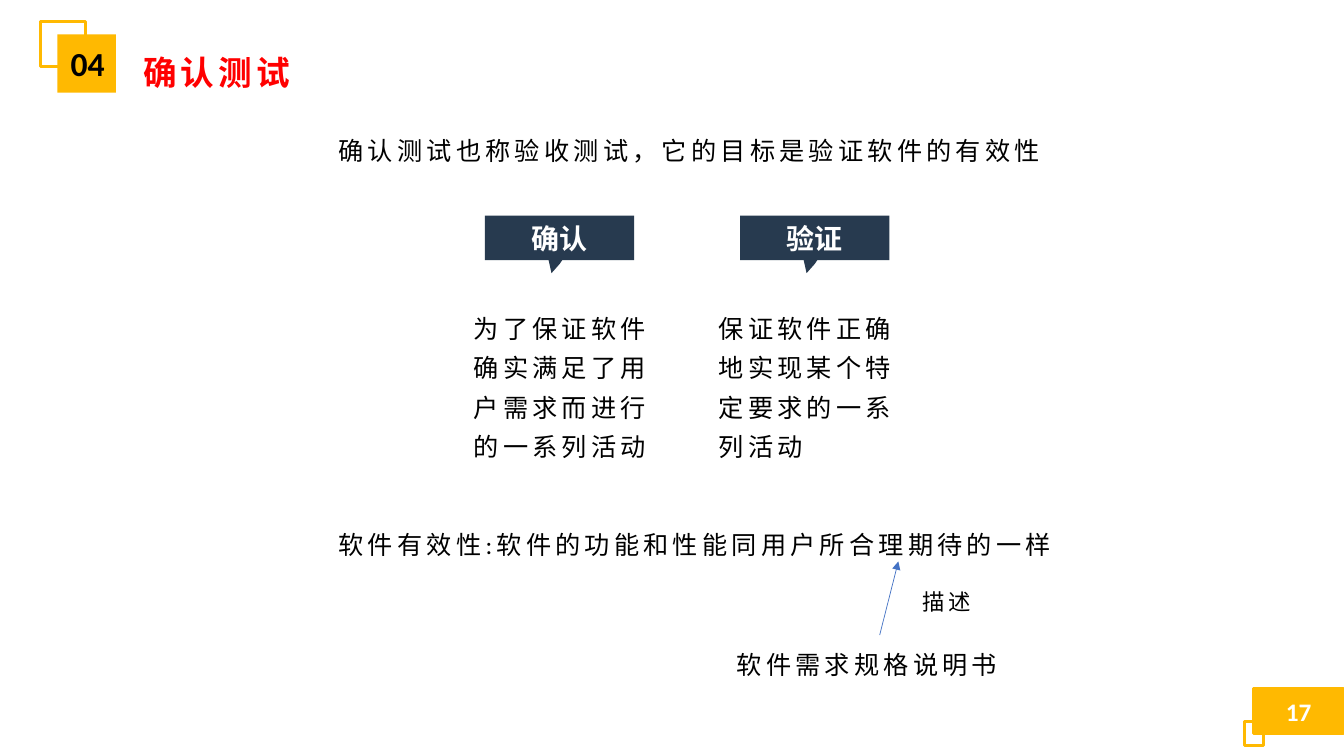
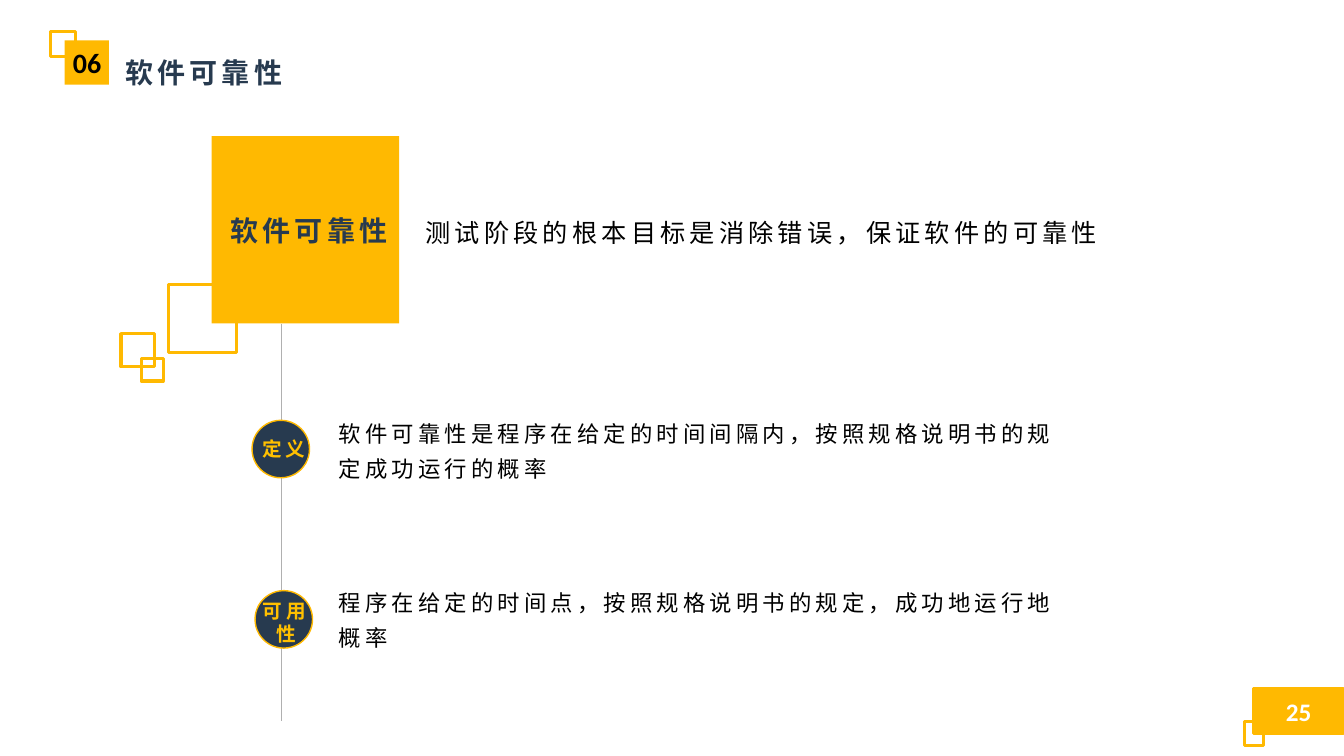
"""Build two slides on confirmation testing and software reliability."""
from dataclasses import dataclass
from typing import NamedTuple, Optional

from lxml import etree
from pptx import Presentation
from pptx import util as u
from pptx.dml.color import RGBColor
from pptx.enum import shapes, text
from pptx.oxml import ns
from pptx.shapes.autoshape import Shape
from pptx.shapes.connector import Connector
from pptx.slide import Slide

RECT = shapes.MSO_SHAPE.RECTANGLE
OVAL = shapes.MSO_SHAPE.OVAL
LEFT, CENTER = text.PP_ALIGN.LEFT, text.PP_ALIGN.CENTER
TOP, MIDDLE = text.MSO_ANCHOR.TOP, text.MSO_ANCHOR.MIDDLE


@dataclass(frozen=True)
class Theme:
    """Colours, font and type sizes of the deck."""
    gold: str = "FFB901"
    amber: str = "FFC000"
    navy: str = "273A4F"
    red: str = "FF0000"
    black: str = "000000"
    white: str = "FFFFFF"
    blue: str = "4472C4"
    grey: str = "B0B0B0"
    font: str = "Calibri"
    title: int = 24
    heading: int = 20
    body: int = 18
    note: int = 16
    label: int = 14
    outline: float = 2.25
    hairline: float = 0.5


THEME = Theme()


class Box(NamedTuple):
    """Left, top, width and height in inches."""
    left: float
    top: float
    width: float
    height: float

    def lengths(self) -> tuple[u.Length, ...]:
        """Return the four values as lengths."""
        return tuple(u.Inches(value) for value in self)


class Style(NamedTuple):
    """Look of one run of text and its paragraph."""
    size: int
    color: str = THEME.black
    bold: bool = False
    tracking: int = 0
    spacing: float = 1.0
    align: text.PP_ALIGN = LEFT


BODY = Style(THEME.body, tracking=3, spacing=1.3)
NOTE = BODY._replace(size=THEME.note)
CAPTION = Style(THEME.heading, THEME.white, True, align=CENTER)
LABEL = Style(THEME.label, THEME.amber, True, 3, align=CENTER)


class Header(NamedTuple):
    """Numbered badge and title of a slide."""
    number: str
    title: str
    title_box: Box
    frame: Box
    badge: Box
    number_box: Box
    size: int
    color: str


class Callout(NamedTuple):
    """Captioned tag with a paragraph below it."""
    left: float
    caption: str
    body_left: float
    body: str


class Milestone(NamedTuple):
    """Circle on the timeline with its explanation."""
    left: float
    top: float
    label: str
    label_top: float
    label_height: float
    body_top: float
    body: str


def apply(target: object, values: dict) -> None:
    """Set each named attribute on the target."""
    for name, value in values.items():
        setattr(target, name, value)


def write(shape: Shape, words: str, style: Style, anchor: text.MSO_ANCHOR = TOP,
          wrap: bool = True) -> None:
    """Put one styled paragraph into a shape."""
    frame = shape.text_frame
    apply(frame, {"word_wrap": wrap, "vertical_anchor": anchor,
                  "auto_size": text.MSO_AUTO_SIZE.NONE,
                  "margin_left": u.Inches(0.1), "margin_right": u.Inches(0.1),
                  "margin_top": u.Inches(0.05), "margin_bottom": u.Inches(0.05)})
    para = frame.paragraphs[0]
    apply(para, {"alignment": style.align, "line_spacing": style.spacing,
                 "space_before": u.Pt(0)})
    span = para.add_run()
    span.text = words
    apply(span.font, {"name": THEME.font, "size": u.Pt(style.size), "bold": style.bold})
    span.font.color.rgb = RGBColor.from_string(style.color)
    if style.tracking:
        span.font._element.set("spc", str(style.tracking * 100))


def add_text(page: Slide, box: Box, words: str, style: Style = BODY,
             wrap: bool = True) -> Shape:
    """Add a text box."""
    shape = page.shapes.add_textbox(*box.lengths())
    write(shape, words, style, wrap=wrap)
    return shape


def paint(shape: Shape, fill: Optional[str], line: Optional[str], width: float) -> None:
    """Give a shape its fill and line, without a shadow."""
    shape.shadow.inherit = False
    if fill:
        shape.fill.solid()
        shape.fill.fore_color.rgb = RGBColor.from_string(fill)
    else:
        shape.fill.background()
    if line:
        shape.line.color.rgb = RGBColor.from_string(line)
        shape.line.width = u.Pt(width)
    else:
        shape.line.fill.background()


def add_block(page: Slide, box: Box, fill: Optional[str] = None,
              line: Optional[str] = None, width: float = THEME.outline,
              kind: shapes.MSO_SHAPE = RECT) -> Shape:
    """Add a preset shape."""
    shape = page.shapes.add_shape(kind, *box.lengths())
    paint(shape, fill, line, width)
    return shape


def add_frame(page: Slide, box: Box) -> None:
    """Add a hollow gold rectangle."""
    add_block(page, box, line=THEME.gold)


def add_line(page: Slide, start: tuple[float, float], end: tuple[float, float],
             color: str) -> Connector:
    """Add a thin straight connector."""
    line = page.shapes.add_connector(shapes.MSO_CONNECTOR.STRAIGHT,
                                     *(u.Inches(value) for value in start + end))
    line.line.color.rgb = RGBColor.from_string(color)
    line.line.width = u.Pt(THEME.hairline)
    etree.SubElement(line._element.spPr, ns.qn("a:effectLst"))
    return line


def add_header(page: Slide, header: Header) -> None:
    """Format the title and draw its numbered badge."""
    title = page.shapes.title
    apply(title, dict(zip(("left", "top", "width", "height"), header.title_box.lengths())))
    write(title, header.title, Style(header.size, header.color, True, 3, 1.3))
    add_frame(page, header.frame)
    add_block(page, header.badge, THEME.gold)
    add_text(page, header.number_box, header.number,
             Style(header.size, bold=True, align=CENTER), wrap=False)


def add_page_number(page: Slide, number: str) -> None:
    """Draw the page number in the lower right corner."""
    block = add_block(page, Box(12.43, 6.83, 0.9, 0.45), THEME.gold, THEME.gold)
    write(block, number, CAPTION._replace(size=THEME.body), MIDDLE)
    add_frame(page, Box(12.34, 7.16, 0.19, 0.24))


def add_callout(page: Slide, callout: Callout) -> None:
    """Draw a tag with its pointer and paragraph."""
    tag = add_block(page, Box(callout.left, 2.14, 1.48, 0.44), THEME.navy)
    write(tag, callout.caption, CAPTION, MIDDLE)
    corners = [(u.Inches(callout.left + across), u.Inches(down))
               for across, down in ((0.62, 2.53), (0.66, 2.71), (0.74, 2.62), (0.8, 2.53))]
    builder = page.shapes.build_freeform(*corners[0], scale=1.0)
    builder.add_line_segments(corners[1:], close=True)
    paint(builder.convert_to_shape(), THEME.navy, None, 0)
    add_text(page, Box(callout.body_left, 2.97, 2.01, 1.64), callout.body)


def add_milestone(page: Slide, stone: Milestone) -> None:
    """Draw a labelled circle and its explanation."""
    add_block(page, Box(stone.left, stone.top, 0.57, 0.57), THEME.navy, THEME.gold, 1, OVAL)
    add_text(page, Box(stone.left - 0.1, stone.label_top, 0.83, stone.label_height),
             stone.label, LABEL)
    add_text(page, Box(3.26, stone.body_top, 7.57, 0.77), stone.body, NOTE)


def build_testing(page: Slide) -> None:
    """Fill the confirmation testing slide."""
    add_header(page, Header("04", "确认测试", Box(1.32, 0.35, 1.93, 0.57),
                            Box(0.4, 0.21, 0.45, 0.45), Box(0.57, 0.34, 0.58, 0.58),
                            Box(0.56, 0.38, 0.62, 0.5), THEME.title, THEME.red))
    for callout in (
        Callout(4.81, "确认", 4.6, "为了保证软件确实满足了用户需求而进行的一系列活动"),
        Callout(7.34, "验证", 7.03, "保证软件正确地实现某个特定要求的一系列活动"),
    ):
        add_callout(page, callout)
    for top, words in (
        (1.2, "确认测试也称验收测试，它的目标是验证软件的有效性"),
        (5.11, "软件有效性:软件的功能和性能同用户所合理期待的一样"),
    ):
        add_text(page, Box(3.26, top, 7.48, 0.46), words)
    document = add_text(page, Box(7.21, 6.3, 3.03, 0.46), "软件需求规格说明书")
    arrow = add_line(page, (8.73, 6.3), (8.91, 5.57), THEME.blue)
    arrow.begin_connect(document, 0)
    etree.SubElement(arrow.line._get_or_add_ln(), ns.qn("a:tailEnd"), type="triangle")
    add_text(page, Box(9.05, 5.71, 0.92, 0.42), "描述", NOTE)
    add_page_number(page, "17")


def build_reliability(page: Slide) -> None:
    """Fill the software reliability slide."""
    add_header(page, Header("06", "软件可靠性", Box(1.14, 0.4, 2.45, 0.5),
                            Box(0.5, 0.31, 0.25, 0.25), Box(0.64, 0.4, 0.44, 0.44),
                            Box(0.59, 0.4, 0.55, 0.44), THEME.heading, THEME.navy))
    add_frame(page, Box(1.67, 2.82, 0.68, 0.68))
    add_block(page, Box(2.1, 1.35, 1.86, 1.86), THEME.gold)
    add_line(page, (2.79, 3.21), (2.79, 7.15), THEME.grey)
    for box in (Box(1.2, 3.31, 0.33, 0.33), Box(1.4, 3.56, 0.22, 0.22)):
        add_frame(page, box)
    add_text(page, Box(2.16, 2.07, 1.81, 0.44), "软件可靠性",
             Style(THEME.heading, THEME.navy, True, 3, align=CENTER), wrap=False)
    add_text(page, Box(4.12, 2.02, 7.57, 0.46),
             "测试阶段的根本目标是消除错误，保证软件的可靠性")
    for stone in (
        Milestone(2.5, 4.17, "定义", 4.29, 0.34, 4.04,
                  "软件可靠性是程序在给定的时间间隔内，按照规格说明书的规定成功运行的概率"),
        Milestone(2.53, 5.86, "可用性", 5.89, 0.57, 5.72,
                  "程序在给定的时间点，按照规格说明书的规定，成功地运行地概率"),
    ):
        add_milestone(page, stone)
    add_page_number(page, "25")


def main() -> None:
    """Build and save the deck."""
    deck = Presentation()
    apply(deck, {"slide_width": u.Inches(13.33), "slide_height": u.Inches(7.5)})
    for build in (build_testing, build_reliability):
        build(deck.slides.add_slide(deck.slide_layouts[5]))
    deck.save("out.pptx")


if __name__ == "__main__":
    main()
